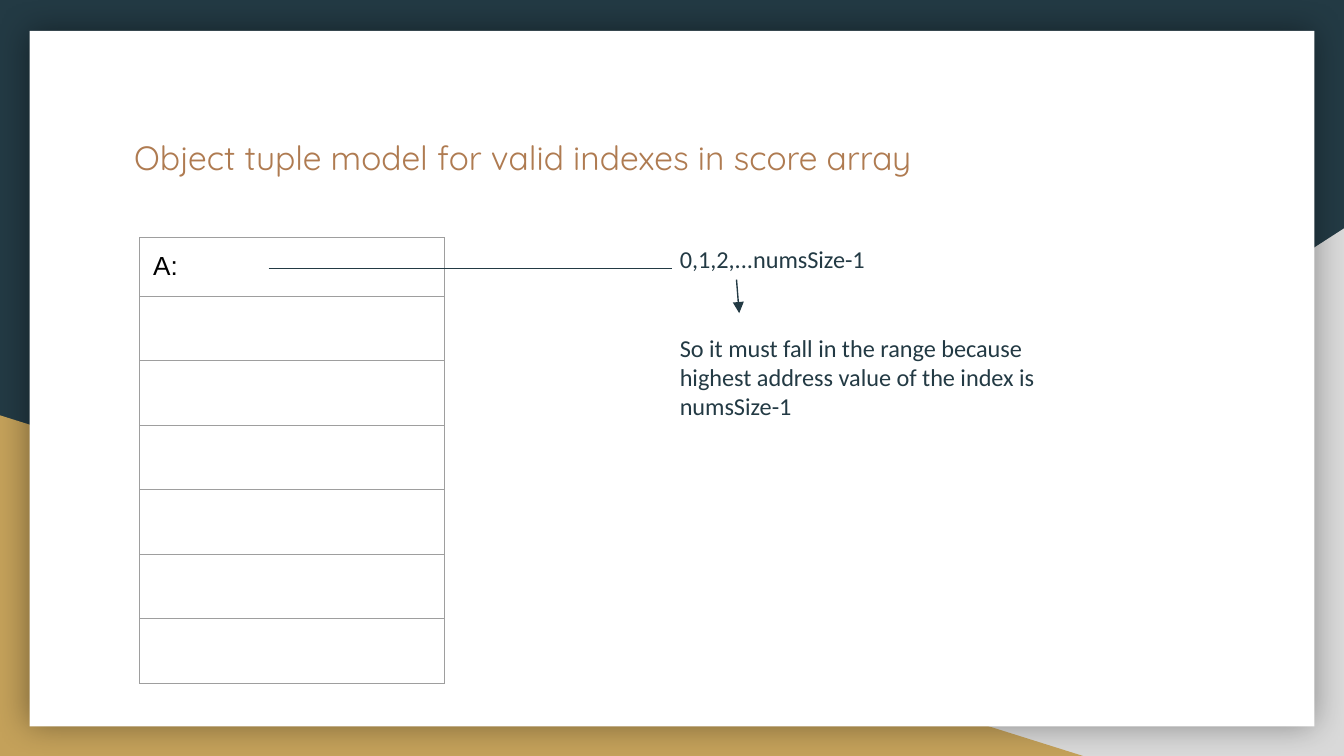
import pptx
import pptx.dml.color
import pptx.enum.shapes
import pptx.enum.text
import pptx.oxml
import pptx.oxml.ns
import pptx.util

Inches, Pt = pptx.util.Inches, pptx.util.Pt
SHAPE = pptx.enum.shapes.MSO_SHAPE
COLORS = {"navy": "233A44", "grey": "D9D9D9", "gold": "C4A15A", "white": "FFFFFF",
          "copper": "AF7B51", "border": "9E9E9E", "black": "000000"}
FORMATS = {
    "title": {"size": Pt(18), "name": "Quicksand", "color": "copper"},
    "cell": {"size": Pt(14), "name": "Arial", "color": "black"},
    "note": {"size": Pt(13), "name": "Calibri", "color": "navy"},
}
MARGINS = ("margin_left", "margin_top", "margin_right", "margin_bottom")
NS = pptx.oxml.ns.nsdecls("a")


def rgb(name):
    return pptx.dml.color.RGBColor.from_string(COLORS[name])


def xml(text):
    return pptx.oxml.parse_xml(text)


def set_margins(obj, inches):
    for side in MARGINS:
        setattr(obj, side, Inches(inches))


def write(p, text, style):
    r = p.add_run()
    r.text = text
    for key, value in FORMATS[style].items():
        if key == "color":
            r.font.color.rgb = rgb(value)
        else:
            setattr(r.font, key, value)


def add_text(s, box, lines, style, gap=0):
    tf = s.shapes.add_textbox(*map(Inches, box)).text_frame
    tf.word_wrap = True
    tf.vertical_anchor = pptx.enum.text.MSO_ANCHOR.TOP
    set_margins(tf, 0.1)
    for i, line in enumerate(lines):
        p = tf.add_paragraph() if i else tf.paragraphs[0]
        if i:
            p.space_before = Pt(gap)
        write(p, line, style)


def add_panel(s, kind, box, color):
    sp = s.shapes.add_shape(kind, *map(Inches, box))
    sp.shadow.inherit = False
    sp.fill.solid()
    sp.fill.fore_color.rgb = rgb(color)
    sp.line.fill.background()
    return sp


def add_curve(s, points, steps=16):
    """Draw joined cubic curves: a start point, then three points per curve."""
    track = []
    for k in range(0, len(points) - 1, 3):
        for i in range(1, steps + 1):
            t = i / steps
            weights = ((1 - t) ** 3, 3 * t * (1 - t) ** 2, 3 * t * t * (1 - t), t ** 3)
            track.append(tuple(sum(w * pt[axis] for w, pt in zip(weights, points[k:k + 4]))
                               for axis in (0, 1)))
    builder = s.shapes.build_freeform(*points[0], scale=Inches(1))
    builder.add_line_segments(track, close=False)
    sp = builder.convert_to_shape()
    sp.shadow.inherit = False
    sp.fill.background()
    sp.line.color.rgb = rgb("navy")
    sp.line.width = Pt(0.75)


def build_backdrop(s, x, y, w, h):
    s.background.fill.solid()
    s.background.fill.fore_color.rgb = rgb("navy")
    # Corner triangles
    right = add_panel(s, SHAPE.RIGHT_TRIANGLE, (x + 3.92, y + 1.7, w - 3.92, h - 1.7), "grey")
    right.element.spPr.get_or_add_xfrm().set("flipH", "1")
    add_panel(s, SHAPE.RIGHT_TRIANGLE, (x, y + 3.09, 8.06, h - 3.09), "gold")
    # White card with a soft shadow
    card = add_panel(s, SHAPE.RECTANGLE, (x + 0.22, y + 0.23, w - 0.44, h - 0.45), "white")
    effects = card.element.spPr.find(pptx.oxml.ns.qn("a:effectLst"))
    effects.append(xml(f'<a:outerShdw {NS} blurRad="{Pt(18)}" dist="0" dir="0" algn="bl" '
                       f'rotWithShape="0"><a:srgbClr val="{COLORS["black"]}">'
                       '<a:alpha val="40000"/></a:srgbClr></a:outerShdw>'))


def build_memory_table(s, x, y, w, h, rows=7, first=0.42):
    frame = s.shapes.add_table(rows, 1, Inches(x), Inches(y), Inches(w), Inches(h))
    table = frame.table
    table.first_row = table.horz_banding = False
    table.columns[0].width = Inches(w)
    for i, row in enumerate(table.rows):
        row.height = Inches((h - first) / (rows - 1) if i else first)
        cell = row.cells[0]
        set_margins(cell, 0.05 if i else 0.1)
        for side in ("lnL", "lnR", "lnT", "lnB"):
            cell._tc.get_or_add_tcPr().append(xml(
                f'<a:{side} {NS} w="{Pt(0.75)}"><a:solidFill>'
                f'<a:srgbClr val="{COLORS["border"]}"/></a:solidFill></a:{side}>'))
        cell.fill.background()
    write(table.cell(0, 0).text_frame.paragraphs[0], "A:", "cell")


def build_pointer(s, x, y):
    # Curved shaft, then the hand-drawn head
    shaft = [(0, 0.12), (0.6, 0.06), (1.21, -0.06), (1.8, 0.03),
             (2.2, 0.09), (2.73, 0.37), (3.01, 0.09)]
    head = [(2.84, 0.07), (2.91, 0.1), (3.03, 0.02), (3.06, 0.09),
            (3.08, 0.13), (3.02, 0.19), (3, 0.23)]
    for curve in (shaft, head):
        add_curve(s, [(x + dx, y + dy) for dx, dy in curve])


def build_notes(s, x, y, w, h):
    add_text(s, (x, y, w, h),
             ["0,1,2,...numsSize-1",
              "So it must fall in the range because highest address value of the index is "
              "numsSize-1"], "note", gap=31.7)
    # Arrow from the index list to its explanation
    arrow = s.shapes.add_connector(
        pptx.enum.shapes.MSO_CONNECTOR.STRAIGHT,
        *map(Inches, (x + 0.52, y + 0.36, x + 0.54, y + 0.61)))
    arrow.line.color.rgb = rgb("navy")
    arrow.line.width = Pt(0.75)
    arrow.line._get_or_add_ln().append(xml(f'<a:tailEnd {NS} type="triangle"/>'))
    arrow._element.spPr.append(xml(f"<a:effectLst {NS}/>"))


def main():
    prs = pptx.Presentation()
    prs.slide_width, prs.slide_height = Inches(10), Inches(5.625)
    s = prs.slides.add_slide(prs.slide_layouts[6])
    build_backdrop(s, 0, 0, 10, 5.625)
    add_text(s, (0.9, 0.92, 8.21, 0.58),
             ["Object tuple model for valid indexes in score array"], "title")
    build_memory_table(s, 1.04, 1.77, 2.27, 3.3)
    build_pointer(s, 1.9, 1.88)
    build_notes(s, 4.96, 1.72, 3.13, 1.52)
    prs.save("out.pptx")


if __name__ == "__main__":
    main()
